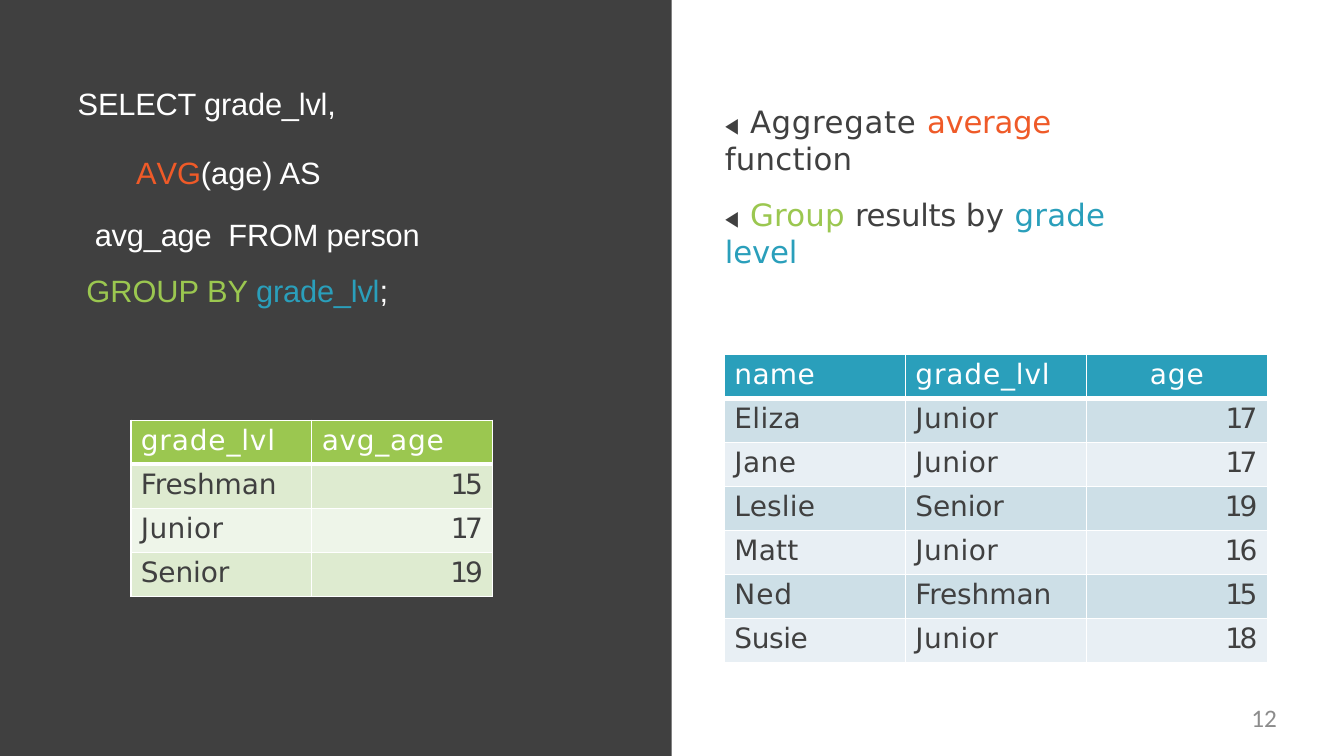
import pptx
import pptx.dml.color
import pptx.enum.shapes
import pptx.enum.text
import pptx.oxml
import pptx.oxml.ns
import pptx.util

Cm, Pt = pptx.util.Cm, pptx.util.Pt
ALIGN = pptx.enum.text.PP_ALIGN

COLORS = {
    "dark": "404040", "white": "FFFFFF", "orange": "EF5A28",
    "green": "9BC750", "blue": "2A9FBB", "grey": "8C8C8C",
    "green_band": "DEEBD0", "green_pale": "EEF5E9",
    "blue_band": "CDDFE7", "blue_pale": "E8EFF4",
}
# Letter spacing in points for the words in the tables
TRACKING = {
    "name": 0.2, "grade_lvl": 0.6, "avg_age": 0.5, "age": 0.6,
    "Eliza": 0.2, "Jane": 0.3, "Leslie": 0.1, "Matt": 0.1, "Ned": 0.6,
    "Susie": -0.3, "Junior": 0.3, "Senior": -0.1, "Freshman": -0.1,
    "17": -2.7, "19": -2.2, "16": -2.2, "15": -2.5, "18": -2.5,
}
PEOPLE = [
    ("name", "grade_lvl", "age"),
    ("Eliza", "Junior", "17"),
    ("Jane", "Junior", "17"),
    ("Leslie", "Senior", "19"),
    ("Matt", "Junior", "16"),
    ("Ned", "Freshman", "15"),
    ("Susie", "Junior", "18"),
]
AVERAGES = [
    ("grade_lvl", "avg_age"),
    ("Freshman", "15"),
    ("Junior", "17"),
    ("Senior", "19"),
]


def rgb(name):
    return pptx.dml.color.RGBColor.from_string(COLORS[name])


def add_run(p, text, color="dark", size=22, font="DejaVu Sans", tracking=0):
    r = p.add_run()
    r.text = text
    r.font.name = font
    r.font.size = Pt(size)
    r.font.color.rgb = rgb(color)
    if tracking:
        r.font._element.set("spc", str(round(tracking * 100)))


def add_text_frame(slide, x, y, w, h, inset_top=0):
    tf = slide.shapes.add_textbox(Cm(x), Cm(y), Cm(w), Cm(h)).text_frame
    tf.word_wrap = True
    tf.margin_left = tf.margin_right = tf.margin_bottom = 0
    tf.margin_top = Cm(inset_top)
    return tf


def next_paragraph(tf, first, before=0, indent=0):
    p = tf.paragraphs[0] if first else tf.add_paragraph()
    if before and not first:
        p.space_before = Pt(before)
    if indent:
        p._p.get_or_add_pPr().set("marL", str(Cm(indent)))
    return p


def add_panel(slide, x, y, w, h):
    sp = slide.shapes.add_shape(pptx.enum.shapes.MSO_SHAPE.RECTANGLE,
                                Cm(x), Cm(y), Cm(w), Cm(h))
    sp.shadow.inherit = False
    sp.fill.solid()
    sp.fill.fore_color.rgb = rgb("dark")
    sp.line.fill.background()


def add_query(slide, x, y, w, h):
    # Each line: space before, indent in cm, exact line height, coloured parts
    lines = [
        (0, 0.03, None, [("SELECT grade_lvl,", "white", -0.1)]),
        (4.5, 1.5, 44.4, [("A", "orange", -1.6), ("VG", "orange", 0),
                          ("(age) AS", "white", 0)]),
        (0, 0.46, 44.4, [("avg_age  FROM person", "white", -0.1)]),
        (13.5, 0.25, None, [("GROUP BY ", "green", 0),
                            ("grade_lvl", "blue", -0.1), (";", "white", 0)]),
    ]
    tf = add_text_frame(slide, x, y, w, h, inset_top=0.06)
    for i, (before, indent, height, parts) in enumerate(lines):
        p = next_paragraph(tf, i == 0, before, indent)
        if height:
            p.line_spacing = Pt(height)
        for text, color, tracking in parts:
            add_run(p, text, color, font="Arial", tracking=tracking)


def add_notes(slide, x, y, w, h):
    points = [
        [("Aggregate ", "dark", 0.5), ("average ", "orange", -0.2),
         ("function", "dark", 0.2)],
        [("Group ", "green", 0.2), ("results ", "dark", -0.2),
         ("by ", "dark", 0.3), ("grade ", "blue", 0.2),
         ("level", "blue", -0.1)],
    ]
    tf = add_text_frame(slide, x, y, w, h, inset_top=0.51)
    for i, parts in enumerate(points):
        p = next_paragraph(tf, i == 0, before=13.6, indent=0.03)
        add_run(p, "◀ ", size=15.5, font="Courier New", tracking=-1.6)
        for text, color, tracking in parts:
            add_run(p, text, color, tracking=tracking)


def set_borders(cell, top, bottom):
    tcPr = cell._tc.get_or_add_tcPr()
    widths = {"lnL": 1, "lnR": 1, "lnT": top, "lnB": bottom}
    for i, (tag, width) in enumerate(widths.items()):
        tcPr.insert(i, pptx.oxml.parse_xml(
            f'<a:{tag} {pptx.oxml.ns.nsdecls("a")} w="{Pt(width)}"><a:solidFill>'
            f'<a:srgbClr val="{COLORS["white"]}"/></a:solidFill></a:{tag}>'))


def add_data_table(slide, x, y, w, h, rows, hue, rule):
    """Header in the hue, then alternating tints; rule is the line under the header."""
    table = slide.shapes.add_table(len(rows), len(rows[0]),
                                   Cm(x), Cm(y), Cm(w), Cm(h)).table
    for i, row in enumerate(rows):
        table.rows[i].height = Cm(h / len(rows))
        tint = hue if i == 0 else hue + ("_band" if i % 2 else "_pale")
        for j, text in enumerate(row):
            cell = table.cell(i, j)
            cell.margin_left = cell.margin_right = Cm(0.25)
            cell.margin_top, cell.margin_bottom = Cm(0.1), 0
            cell.fill.solid()
            cell.fill.fore_color.rgb = rgb(tint)
            set_borders(cell, rule if i == 1 else 1, rule if i == 0 else 1)
            p = cell.text_frame.paragraphs[0]
            if text.isdigit():
                p.alignment = ALIGN.RIGHT
            elif text == "age":
                p.alignment = ALIGN.CENTER
            add_run(p, text, "white" if i == 0 else "dark", size=20,
                    tracking=TRACKING[text])


def add_page_number(slide, x, y, w, h, number):
    p = add_text_frame(slide, x, y, w, h).paragraphs[0]
    p.alignment = ALIGN.RIGHT
    add_run(p, str(number), "grey", size=18, font="Calibri")


def main():
    prs = pptx.Presentation()
    prs.slide_width, prs.slide_height = Cm(33.87), Cm(19.05)
    slide = prs.slides.add_slide(prs.slide_layouts.get_by_name("Blank"))
    add_panel(slide, 0, 0, 16.93, 19.05)
    add_query(slide, 1.93, 2.08, 9.35, 5.72)
    add_notes(slide, 18.24, 2.08, 11.5, 4.8)
    add_data_table(slide, 18.26, 8.94, 13.68, 7.75, PEOPLE, "blue", 4.25)
    add_data_table(slide, 3.3, 10.59, 9.12, 4.44, AVERAGES, "green", 3)
    add_page_number(slide, 24.38, 17.7, 7.8, 0.97, 12)
    prs.save("out.pptx")


if __name__ == "__main__":
    main()
